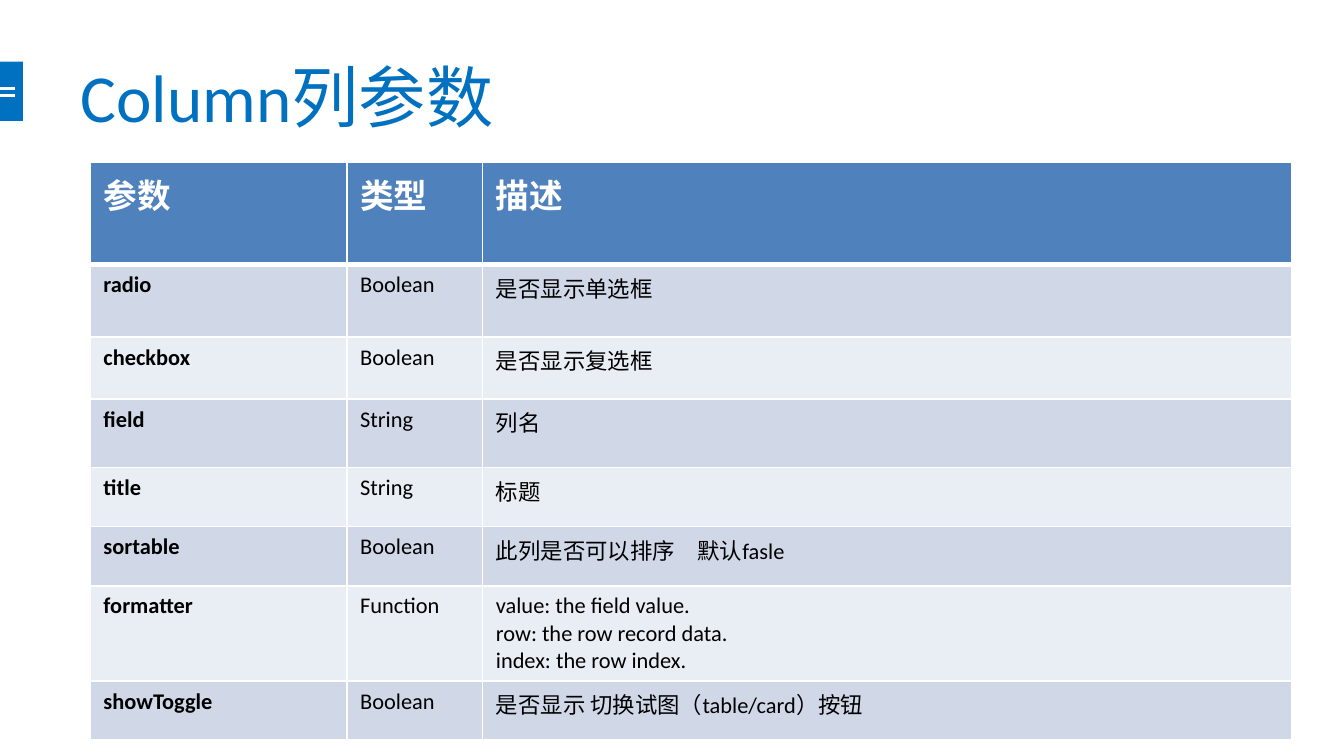
import pptx
import pptx.dml.color
import pptx.enum.shapes
import pptx.enum.text
import pptx.oxml
import pptx.oxml.ns
import pptx.util
from pptx.util import Inches

RGBColor = pptx.dml.color.RGBColor
BLUE = RGBColor(0x00, 0x70, 0xC0)
HEADER = RGBColor(0x4F, 0x81, 0xBD)
BANDS = (RGBColor(0xD0, 0xD8, 0xE8), RGBColor(0xE9, 0xED, 0xF4))
WHITE = RGBColor(0xFF, 0xFF, 0xFF)
BLACK = RGBColor(0x00, 0x00, 0x00)

COLUMN_WIDTHS = (1.91, 1.01, 6.02)
ROW_HEIGHTS = (0.76, 0.54, 0.46, 0.51, 0.44, 0.44, 0.71, 0.44)
ROWS = (
    ("参数", "类型", "描述"),
    ("radio", "Boolean", "是否显示单选框"),
    ("checkbox", "Boolean", "是否显示复选框"),
    ("field", "String", "列名"),
    ("title", "String", "标题　"),
    ("sortable", "Boolean", "此列是否可以排序　默认fasle"),
    ("formatter", "Function",
     "value: the field value.\nrow: the row record data.\nindex: the row index."),
    ("showToggle", "Boolean", "是否显示 切换试图（table/card）按钮"),
)


def write_text(tf, text, size=12, color=BLACK, bold=False, font="Calibri"):
    """Fill a text frame with one paragraph per line of text."""
    for i, line in enumerate(text.split("\n")):
        p = tf.add_paragraph() if i else tf.paragraphs[0]
        p.alignment = pptx.enum.text.PP_ALIGN.LEFT
        r = p.add_run()
        r.text = line
        r.font.name = font
        r.font.size = pptx.util.Pt(size)
        r.font.bold = bold
        r.font.color.rgb = color


def set_borders(cell, color=WHITE, **widths):
    """Draw cell borders, given L, R, T and B widths in points."""
    tcPr = cell._tc.get_or_add_tcPr()
    for side in "LRTB":
        tcPr.append(pptx.oxml.parse_xml(
            f'<a:ln{side} {pptx.oxml.ns.nsdecls("a")} w="{pptx.util.Pt(widths[side])}">'
            f'<a:solidFill><a:srgbClr val="{color}"/></a:solidFill></a:ln{side}>'))


class SlideBuilder:
    def __init__(self, prs):
        self.s = prs.slides.add_slide(prs.slide_layouts[5])

    def title(self, text, x, y, w, h):
        sp = self.s.shapes.title
        sp.left, sp.top, sp.width, sp.height = map(Inches, (x, y, w, h))
        tf = sp.text_frame
        tf.auto_size = pptx.enum.text.MSO_AUTO_SIZE.NONE
        tf.vertical_anchor = pptx.enum.text.MSO_ANCHOR.MIDDLE
        write_text(tf, text, size=36, color=BLUE)

    def rectangle(self, x, y, w, h, color):
        sp = self.s.shapes.add_shape(
            pptx.enum.shapes.MSO_SHAPE.RECTANGLE, *map(Inches, (x, y, w, h)))
        sp.shadow.inherit = False
        sp.fill.solid()
        sp.fill.fore_color.rgb = color
        sp.line.fill.background()

    def line(self, x1, y1, x2, y2, color, width=1.5):
        cxn = self.s.shapes.add_connector(
            pptx.enum.shapes.MSO_CONNECTOR.STRAIGHT, *map(Inches, (x1, y1, x2, y2)))
        cxn.line.color.rgb = color
        cxn.line.width = pptx.util.Pt(width)
        cxn._element.spPr.append(pptx.oxml.parse_xml(
            f'<a:effectLst {pptx.oxml.ns.nsdecls("a")}/>'))

    def table(self, x, y, widths, heights, rows):
        table = self.s.shapes.add_table(
            len(rows), len(widths), Inches(x), Inches(y),
            Inches(sum(widths)), Inches(sum(heights))).table
        for column, width in zip(table.columns, widths):
            column.width = Inches(width)
        for i, values in enumerate(rows):
            table.rows[i].height = Inches(heights[i])
            is_header = i == 0
            for j, text in enumerate(values):
                cell = table.cell(i, j)
                set_borders(cell, L=1, R=1, T=3 if i == 1 else 1, B=3 if is_header else 1)
                cell.fill.solid()
                cell.fill.fore_color.rgb = HEADER if is_header else BANDS[(i - 1) % 2]
                write_text(cell.text_frame, text, size=18 if is_header else 12,
                           color=WHITE if is_header else BLACK,
                           bold=is_header or j == 0)


def main():
    prs = pptx.Presentation()
    prs.slide_width = Inches(10)
    prs.slide_height = prs.slide_width * 9 // 16
    slide = SlideBuilder(prs)
    slide.rectangle(0, 0.46, 0.17, 0.44, BLUE)
    for y in (0.66, 0.71):
        slide.line(0, y, 0.11, y, WHITE)
    slide.title("Column列参数", 0.5, 0.48, 9, 0.46)
    slide.table(0.67, 1.21, COLUMN_WIDTHS, ROW_HEIGHTS, ROWS)
    prs.save("out.pptx")


if __name__ == "__main__":
    main()
